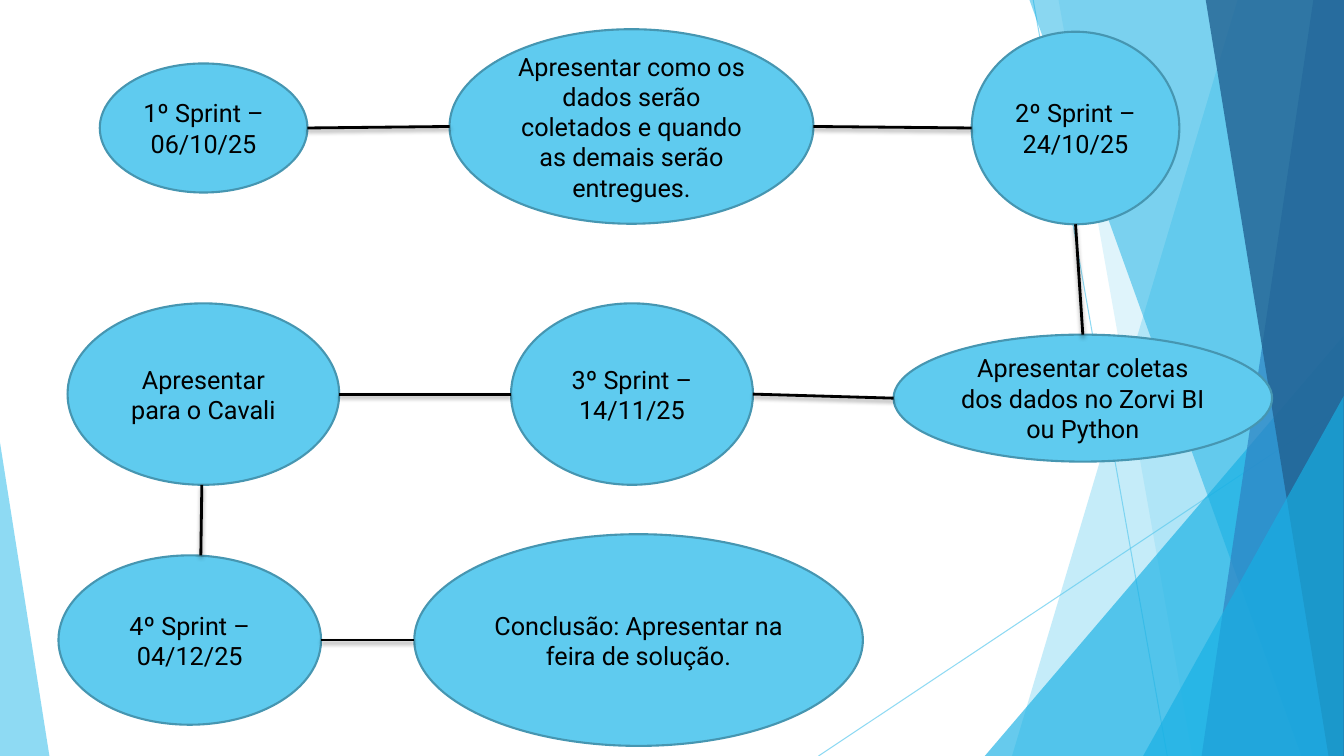
from dataclasses import dataclass

import lxml.etree
import pptx
import pptx.dml.color
import pptx.enum.dml
import pptx.enum.shapes
import pptx.enum.text
import pptx.oxml.ns
import pptx.util

# The grid has square cells, ten to the inch.
CELL = pptx.util.Inches(0.1)
COLUMNS, ROWS = 133.33, 75
TOP = -0.1

SKY, CYAN, BLUE, NAVY = "5FCBEF", "17B0E4", "2E83C3", "226292"
OUTLINE, BLACK = "4696B1", "000000"
FONT = "Roboto"

Point = tuple[float, float]


@dataclass(frozen=True)
class Ray:
    start: Point
    end: Point


@dataclass(frozen=True)
class Band:
    corners: tuple[Point, ...]
    colour: str
    opacity: int


@dataclass(frozen=True)
class Wedge:
    column: float
    row: float
    width: float
    height: float
    apex: float
    colour: str
    opacity: int


@dataclass(frozen=True)
class Step:
    text: str
    column: float
    row: float
    width: float
    height: float

    def side(self, name: str) -> Point:
        across, down = {"top": (0.5, 0), "left": (0, 0.5),
                        "bottom": (0.5, 1), "right": (1, 0.5)}[name]
        return self.column + across * self.width, self.row + down * self.height


@dataclass(frozen=True)
class Link:
    start: str
    start_side: str
    end: str
    end_side: str
    start_shift: float = 0
    end_shift: float = 0


RAYS = (Ray((102.5, 0), (115.8, ROWS)), Ray((COLUMNS, 40.3), (81.2, ROWS)))


def right_band(top: float, bottom: float, colour: str, opacity: int) -> Band:
    """Band from a slanted left edge to the right edge of the slide."""
    corners = ((top, TOP), (COLUMNS, TOP), (COLUMNS, ROWS), (bottom, ROWS))
    return Band(corners, colour, opacity)


PANELS = (
    right_band(122.8, 100.4, SKY, 36),
    right_band(105, 118.3, SKY, 20),
    Wedge(97.7, 33.3, 35.6, 41.7, 1, CYAN, 66),
    right_band(102.1, 129.1, CYAN, 50),
    right_band(130.3, 119.2, BLUE, 70),
    right_band(119.6, 131.8, NAVY, 80),
    Wedge(113.4, 39.3, 19.9, 35.7, 1, CYAN, 66),
    Wedge(0, 43.9, 4.9, 31.1, 0, SKY, 70),
)

STEPS = {
    "sprint 1": Step("1º Sprint – 06/10/25", 9.9, 6.3, 20.6, 12.8),
    "planning": Step("Apresentar como os dados serão coletados e quando "
                     "as demais serão entregues.", 44.6, 2.9, 36.1, 19.3),
    "sprint 2": Step("2º Sprint – 24/10/25", 96.4, 3.15, 20.6, 19.1),
    "collection": Step("Apresentar coletas dos dados no Zorvi BI ou Python",
                       88.65, 33.2, 37.55, 12.6),
    "sprint 3": Step("3º Sprint – 14/11/25", 50.7, 30.1, 24, 18),
    "review": Step("Apresentar para o Cavali", 6.7, 30.1, 26.95, 18),
    "sprint 4": Step("4º Sprint – 04/12/25", 5.8, 55.1, 26.05, 16.8),
    "conclusion": Step("Conclusão: Apresentar na feira de solução.",
                       41.1, 53, 44.5, 21),
}

LINKS = (
    Link("sprint 1", "right", "planning", "left"),
    Link("planning", "right", "sprint 2", "left"),
    Link("sprint 2", "bottom", "collection", "top"),
    Link("collection", "left", "sprint 3", "right"),
    Link("sprint 3", "left", "review", "right"),
    Link("review", "bottom", "sprint 4", "top", -0.15, 1.1),
    Link("sprint 4", "right", "conclusion", "left"),
)


def cells(count: float) -> pptx.util.Emu:
    return pptx.util.Emu(round(count * CELL))


def rgb(colour: str) -> pptx.dml.color.RGBColor:
    return pptx.dml.color.RGBColor.from_string(colour)


def add_child(parent, tag: str, **attributes: str):
    return lxml.etree.SubElement(parent, pptx.oxml.ns.qn(tag), attributes)


def set_opacity(shape, percent: int) -> None:
    for colour in list(shape.element.iter(pptx.oxml.ns.qn("a:srgbClr"))):
        add_child(colour, "a:alpha", val=str(percent * 1000))


def add_line(slide, start: Point, end: Point, colour: str, width: float):
    """Draw a straight connector and return it with its empty effect list."""
    connector = slide.shapes.add_connector(
        pptx.enum.shapes.MSO_CONNECTOR.STRAIGHT,
        *(cells(length) for length in (*start, *end)))
    connector.line.color.rgb = rgb(colour)
    connector.line.width = pptx.util.Pt(width)
    return connector, add_child(connector.element.spPr, "a:effectLst")


def add_ray(slide, ray: Ray) -> None:
    connector, _ = add_line(slide, ray.start, ray.end, SKY, 0.75)
    set_opacity(connector, 70)


def add_preset(slide, kind, item: Wedge | Step):
    return slide.shapes.add_shape(
        kind, cells(item.column), cells(item.row),
        cells(item.width), cells(item.height))


def add_panel(slide, panel: Band | Wedge) -> None:
    if isinstance(panel, Band):
        points = [(cells(x), cells(y)) for x, y in panel.corners]
        builder = slide.shapes.build_freeform(*points[0])
        builder.add_line_segments(points[1:], close=True)
        shape = builder.convert_to_shape()
    else:
        shape = add_preset(
            slide, pptx.enum.shapes.MSO_SHAPE.ISOSCELES_TRIANGLE, panel)
        shape.adjustments[0] = panel.apex
    shape.shadow.inherit = False
    shape.fill.solid()
    shape.fill.fore_color.rgb = rgb(panel.colour)
    shape.line.fill.background()
    set_opacity(shape, panel.opacity)


def add_step(slide, step: Step) -> None:
    shape = add_preset(slide, pptx.enum.shapes.MSO_SHAPE.OVAL, step)
    shape.shadow.inherit = False
    shape.fill.solid()
    shape.fill.fore_color.rgb = rgb(SKY)
    shape.line.color.rgb = rgb(OUTLINE)
    shape.line.width = pptx.util.Pt(1.5)
    shape.text_frame.word_wrap = True
    shape.text_frame.vertical_anchor = pptx.enum.text.MSO_ANCHOR.MIDDLE
    paragraph = shape.text_frame.paragraphs[0]
    paragraph.alignment = pptx.enum.text.PP_ALIGN.CENTER
    run = paragraph.add_run()
    run.text = step.text
    run.font.name = FONT
    run.font.size = pptx.util.Pt(18)
    run.font.color.rgb = rgb(BLACK)


def add_link(slide, link: Link) -> None:
    """Join two steps by a black line with a soft shadow below it."""
    start_x, start_y = STEPS[link.start].side(link.start_side)
    end_x, end_y = STEPS[link.end].side(link.end_side)
    _, effects = add_line(slide, (start_x + link.start_shift, start_y),
                          (end_x + link.end_shift, end_y), BLACK, 2)
    shadow = add_child(effects, "a:outerShdw", blurRad=str(pptx.util.Pt(3)),
                       dist=str(pptx.util.Pt(2)), dir="5400000", rotWithShape="0")
    add_child(add_child(shadow, "a:srgbClr", val=BLACK), "a:alpha", val="35000")


def main() -> None:
    presentation = pptx.Presentation()
    presentation.slide_width = cells(COLUMNS)
    presentation.slide_height = cells(ROWS)
    slide = presentation.slides.add_slide(presentation.slide_layouts[6])
    for ray in RAYS:
        add_ray(slide, ray)
    for panel in PANELS:
        add_panel(slide, panel)
    for step in STEPS.values():
        add_step(slide, step)
    for link in LINKS:
        add_link(slide, link)
    presentation.save("out.pptx")


if __name__ == "__main__":
    main()
